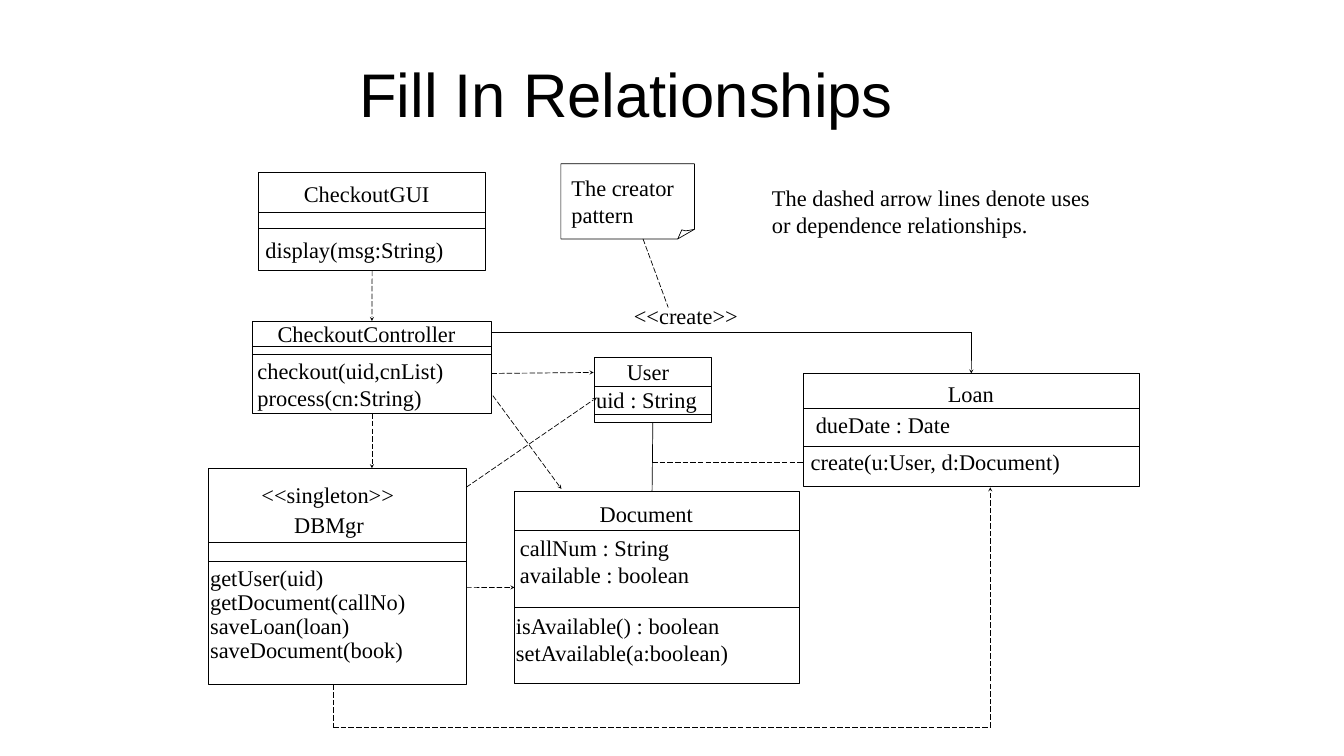
from lxml.etree import SubElement
from pptx import Presentation
from pptx.dml.color import RGBColor
from pptx.enum.dml import MSO_LINE
from pptx.enum.shapes import MSO_CONNECTOR, MSO_SHAPE
from pptx.enum.text import MSO_ANCHOR, MSO_AUTO_SIZE
from pptx.oxml.ns import qn
from pptx.util import Cm, Pt

INK = "000000"
SERIF = "Times New Roman"
TOP, LEFT, BOTTOM = 0, 1, 2

# Content, in inches
TITLE = ("Fill In Relationships", 7.03, 0.6, 15.3, 2.5)

# Class name: left, top, width, height, heights of the two dividers
CLASSES = {
    "User": (11.79, 7.1, 2.33, 1.29, (7.66, 8.22)),
    "Document": (10.21, 9.75, 5.66, 3.81, (10.52, 12.06)),
    "Loan": (15.95, 7.41, 6.65, 2.24, (8.11, 8.86)),
    "DBMgr": (4.13, 9.3, 5.12, 4.28, (10.77, 11.13)),
    "CheckoutGUI": (5.13, 3.42, 4.51, 1.95, (4.21, 4.53)),
    "CheckoutController": (5, 6.37, 4.76, 1.83, (6.87, 7.03)),
}

# Lines of text, left, top, width, wrap
LABELS = [
    (["CheckoutGUI"], 5.93, 3.47, 2.71, False),
    (["display(msg:String)"], 5.17, 4.58, 3.74, False),
    (["CheckoutController"], 5.41, 6.25, 3.74, False),
    (["checkout(uid,cnList)", "process(cn:String)"], 5.01, 6.98, 3.9, False),
    (["User"], 12.34, 7, 1.05, False),
    (["uid : String"], 11.73, 7.56, 2.46, True),
    (["Loan"], 18.71, 7.44, 1.13, False),
    (["dueDate : Date"], 16.09, 8.05, 2.88, False),
    (["create(u:User, d:Document)"], 15.99, 8.8, 6.87, True),
    (["<<singleton>>"], 5.09, 9.44, 2.85, False),
    (["DBMgr"], 5.74, 10.04, 1.6, False),
    (["getUser(uid)", "getDocument(callNo)", "saveLoan(loan)",
      "saveDocument(book)"], 4.07, 11.15, 4.09, False),
    (["Document"], 11.8, 9.82, 2.07, False),
    (["callNum : String", "available : boolean"], 10.22, 10.49, 4.7, True),
    (["isAvailable() : boolean", "setAvailable(a:boolean)"],
     10.14, 12.04, 5.7, True),
    (["<<create>>"], 12.48, 5.9, 2.28, False),
    (["The creator", "pattern"], 11.24, 3.35, 2.25, False),
    (["The dashed arrow lines denote uses or dependence relationships."],
     15.22, 3.56, 6.91, True),
]

# Start, end, dashed, arrow, joined start, joined end
LINKS = [
    ((7.39, 5.37), (7.38, 6.37), True, True,
     ("CheckoutGUI", BOTTOM), ("CheckoutController", TOP)),
    ((7.38, 8.2), (7.38, 9.29), True, True,
     ("CheckoutController", BOTTOM), None),
    ((9.25, 11.66), (10.21, 11.66), True, True, None, ("Document", LEFT)),
    ((12.95, 8.39), (12.94, 9.75), False, False, ("User", BOTTOM), None),
    ((12.94, 9.18), (15.95, 9.18), True, False, None, None),
    ((9.75, 7.41), (11.78, 7.39), True, True, None, None),
    ((9.25, 9.67), (11.84, 7.89), True, True, None, None),
    ((9.78, 7.85), (11.14, 9.7), True, True, None, None),
    ((6.61, 13.58), (6.61, 14.43), True, False, None, None),
    ((6.61, 14.43), (19.65, 14.43), True, False, None, None),
    ((19.65, 14.43), (19.65, 9.67), True, True, None, None),
    ((9.75, 6.6), (19.28, 6.6), False, False, None, None),
    ((19.28, 6.6), (19.28, 7.41), False, True, None, ("Loan", TOP)),
    ((12.76, 4.74), (13.26, 6.1), True, False, None, None),
]

# Note outline and its folded corner
NOTE = [(11.13, 3.25), (11.13, 4.74), (13.45, 4.74), (13.78, 4.55),
        (13.78, 3.25)]
FOLD = [(13.45, 4.74), (13.53, 4.56), (13.6, 4.58), (13.68, 4.57),
        (13.78, 4.55)]


def size(val):
    return Cm(val * 2.54)


def color(code):
    return RGBColor.from_string(code)


def stroke(line):
    line.width = Pt(1)
    line.color.rgb = color(INK)


def outline(shape):
    shape.shadow.inherit = False
    shape.fill.background()
    stroke(shape.line)


def write(lines, box, pts, font, wrap, space=1.0):
    shape = slide.shapes.add_textbox(*map(size, box))
    frame = shape.text_frame
    frame.word_wrap = wrap
    frame.margin_left = frame.margin_right = size(0.1)
    frame.margin_top = frame.margin_bottom = size(0.1)
    for num, line in enumerate(lines):
        para = frame.add_paragraph() if num else frame.paragraphs[0]
        para.line_spacing = space
        run = para.add_run()
        run.text = line
        run.font.size = Pt(pts)
        run.font.name = font
        run.font.color.rgb = color(INK)
    return frame


def link(start, end, dashed=False, arrow=False, tail=None, head=None):
    line = slide.shapes.add_connector(
        MSO_CONNECTOR.STRAIGHT, *map(size, start + end))
    stroke(line.line)
    if dashed:
        line.line.dash_style = MSO_LINE.LONG_DASH
    if arrow:
        SubElement(line.line._get_or_add_ln(), qn("a:tailEnd"), type="stealth")
    SubElement(line._element.spPr, qn("a:effectLst"))
    if tail:
        line.begin_connect(rects[tail[0]], tail[1])
    if head:
        line.end_connect(rects[head[0]], head[1])


def trace(points, close):
    spots = [(size(x), size(y)) for x, y in points]
    form = slide.shapes.build_freeform(*spots[0])
    form.add_line_segments(spots[1:], close=close)
    outline(form.convert_to_shape())


deck = Presentation()
deck.slide_width, deck.slide_height = size(26.67), size(15)
slide = deck.slides.add_slide(deck.slide_layouts[6])

# Title
text, *box = TITLE
write([text], box, 88, "Arial", True).vertical_anchor = MSO_ANCHOR.MIDDLE

# Class boxes with their dividers
rects = {}
for name, (left, top, width, height, rules) in CLASSES.items():
    rects[name] = slide.shapes.add_shape(
        MSO_SHAPE.RECTANGLE, *map(size, (left, top, width, height)))
    outline(rects[name])
    for rule in rules:
        link((left, rule), (left + width, rule))

# Note
trace(NOTE, True)
trace(FOLD, False)

# Relationships
for item in LINKS:
    link(*item)

# Labels; the long method list is set tighter
for lines, left, top, width, wrap in LABELS:
    space = 0.9 if len(lines) > 2 else 1.0
    rows = 2 if len(lines) == 1 and len(lines[0]) > 40 else len(lines)
    box = (left, top, width, 0.19 + 0.51 * rows * space)
    frame = write(lines, box, 32, SERIF, wrap, space)
    frame.auto_size = MSO_AUTO_SIZE.SHAPE_TO_FIT_TEXT

deck.save("out.pptx")
